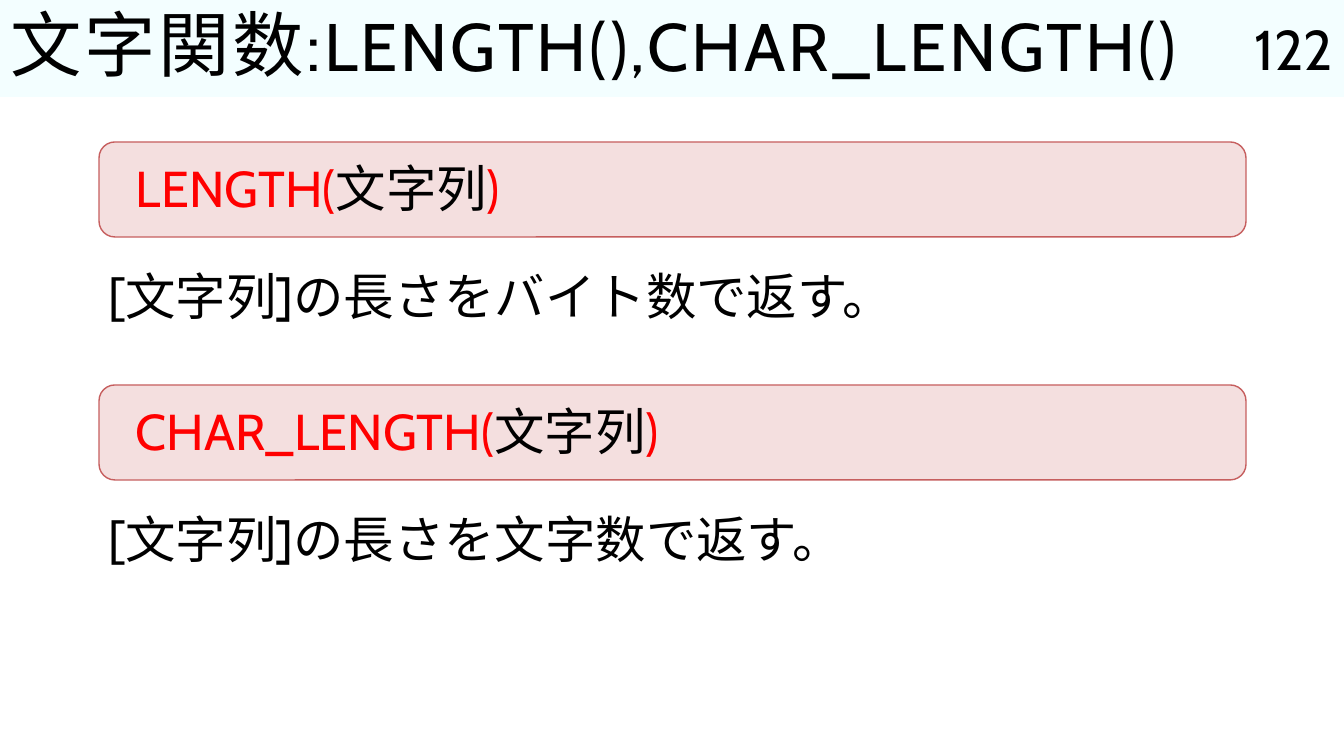
import lxml.etree
import pptx
import pptx.dml.color
import pptx.enum.shapes
import pptx.enum.text
import pptx.oxml.ns
import pptx.util

EMU_PER_PX = 914400 / 100.8
BLACK = pptx.dml.color.RGBColor(0x00, 0x00, 0x00)
RED = pptx.dml.color.RGBColor(0xFF, 0x00, 0x00)
TITLE_FILL = pptx.dml.color.RGBColor(0xF3, 0xFE, 0xFF)
SYNTAX_FILL = pptx.dml.color.RGBColor(0xF4, 0xDF, 0xDF)
SYNTAX_LINE = pptx.dml.color.RGBColor(0xC6, 0x5E, 0x5E)
LATIN_FONT = "Cabin"
JAPANESE_FONT = "Noto Sans CJK JP"
MIDDLE = pptx.enum.text.MSO_ANCHOR.MIDDLE
TOP = pptx.enum.text.MSO_ANCHOR.TOP
LEFT = pptx.enum.text.PP_ALIGN.LEFT
RIGHT = pptx.enum.text.PP_ALIGN.RIGHT


def px(*lengths):
    """Turn pixel lengths into EMU."""
    return [pptx.util.Emu(round(length * EMU_PER_PX)) for length in lengths]


def write_text(shape, runs, anchor=TOP, spacing=1.0, alignment=LEFT, tracking=0):
    """Fill a shape with one paragraph of (text, size, font name, colour) runs."""
    frame = shape.text_frame
    frame_format = {
        "word_wrap": True,
        "auto_size": pptx.enum.text.MSO_AUTO_SIZE.NONE,
        "vertical_anchor": anchor,
    }
    for name, value in frame_format.items():
        setattr(frame, name, value)
    paragraph = frame.paragraphs[0]
    paragraph.line_spacing = spacing
    paragraph.alignment = alignment
    for text, size, font_name, colour in runs:
        run = paragraph.add_run()
        run.text = text
        run.font.size = pptx.util.Pt(size)
        run.font.name = font_name
        run.font.color.rgb = colour
        properties = run.font._element
        east_asian = lxml.etree.SubElement(properties, pptx.oxml.ns.qn("a:ea"))
        east_asian.set("typeface", LATIN_FONT)
        if tracking:
            properties.set("spc", str(tracking * 100))


presentation = pptx.Presentation()
presentation.slide_width, presentation.slide_height = px(1344, 756)
slide = presentation.slides.add_slide(presentation.slide_layouts[5])

title = slide.shapes.title
title.left, title.top, title.width, title.height = px(0, 0, 1344, 97)
title.fill.solid()
title.fill.fore_color.rgb = TITLE_FILL
title_runs = [
    ("文字関数:", 51, LATIN_FONT, BLACK),
    ("LENGTH(),CHAR_LENGTH()", 48, LATIN_FONT, BLACK),
]
write_text(title, title_runs, anchor=MIDDLE, spacing=0.9, tracking=2)

page_number = slide.shapes.add_textbox(*px(1192, 0, 151, 97))
write_text(page_number, [("122", 40, LATIN_FONT, BLACK)], anchor=MIDDLE, alignment=RIGHT)

functions = [
    ("LENGTH(", "[文字列]の長さをバイト数で返す。"),
    ("CHAR_LENGTH(", "[文字列]の長さを文字数で返す。"),
]
for index, (opening, description) in enumerate(functions):
    top = 142 + index * 243
    syntax = slide.shapes.add_group_shape()
    panel = syntax.shapes.add_shape(
        pptx.enum.shapes.MSO_SHAPE.ROUNDED_RECTANGLE, *px(99, top, 1147, 95))
    panel.shadow.inherit = False
    panel.fill.solid()
    panel.fill.fore_color.rgb = SYNTAX_FILL
    panel.line.color.rgb = SYNTAX_LINE
    panel.line.width = pptx.util.Pt(1)

    signature = syntax.shapes.add_textbox(*px(126, top + 17, 1120, 78))
    signature_runs = [
        (opening, 36, LATIN_FONT, RED),
        ("文字列", 36, JAPANESE_FONT, BLACK),
        (")", 36, LATIN_FONT, RED),
    ]
    write_text(signature, signature_runs, spacing=0.9)

    explanation = slide.shapes.add_textbox(*px(99, top + 112, 1122, 110))
    write_text(explanation, [(description, 36, LATIN_FONT, BLACK)], spacing=1.1)

presentation.save("out.pptx")
